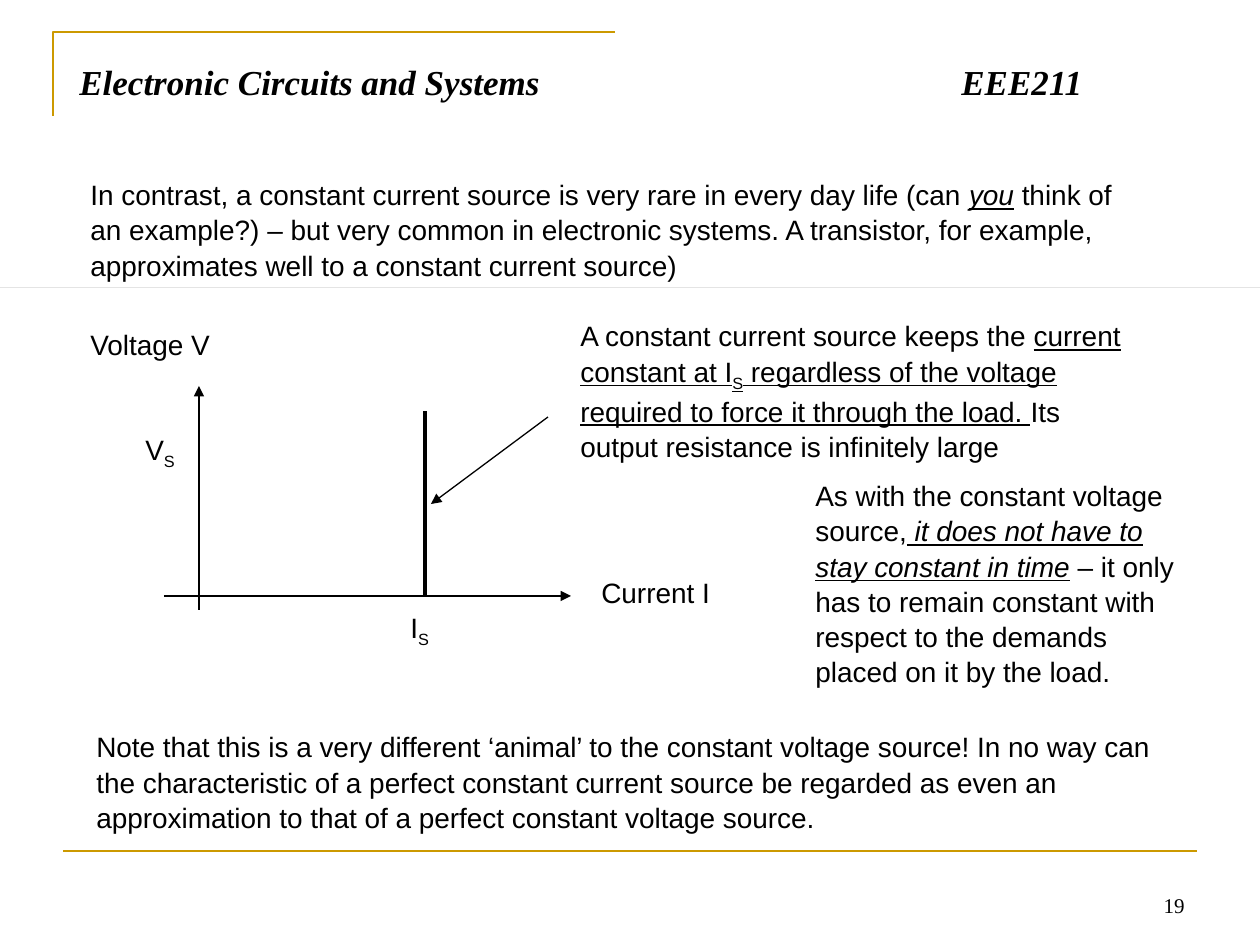
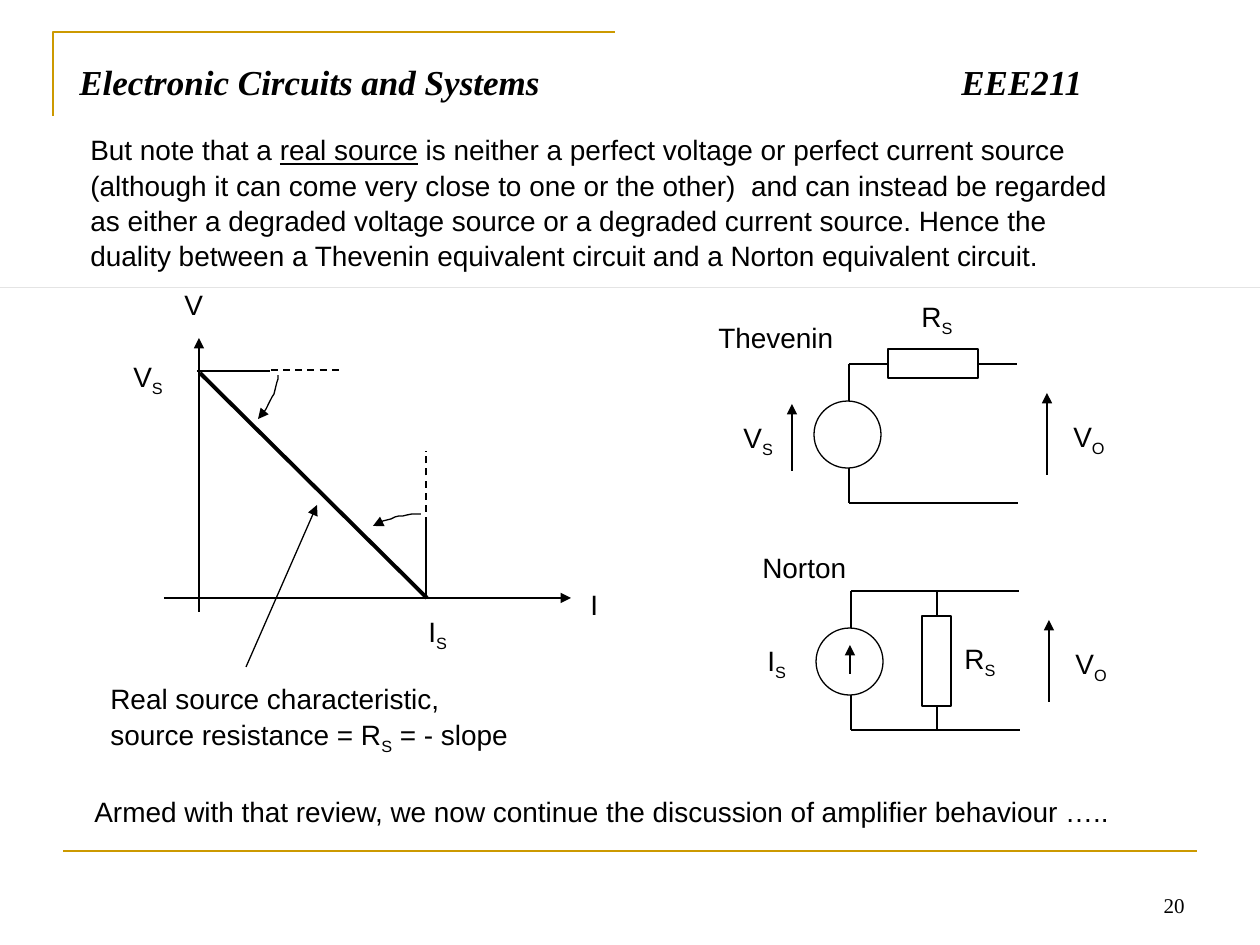
"""Build two lecture slides on constant current sources and real sources."""
from lxml import etree
from pptx import Presentation
from pptx.dml.color import RGBColor
from pptx.enum.dml import MSO_LINE
from pptx.enum.shapes import MSO_CONNECTOR, MSO_SHAPE
from pptx.enum.text import MSO_ANCHOR, PP_ALIGN
from pptx.oxml.ns import qn
from pptx.util import Pt

PX = 914400 / 126
COLORS = {"gold": "CC9900", "ink": "000000", "paper": "FFFFFF", "hairline": "E4E4E4"}
RGB = {name: RGBColor.from_string(value) for name, value in COLORS.items()}


def add_text(s, box, runs, font="Arial", size=16):
    """Add a text box; run styles are b, i, u and s for subscript."""
    sp = s.shapes.add_textbox(*[round(v * PX) for v in box])
    tf = sp.text_frame
    tf.word_wrap = True
    p = tf.paragraphs[0]
    p.line_spacing = 1.05
    for content, style in runs:
        r = p.add_run()
        r.text = content
        r.font.name = font
        r.font.size = Pt(size)
        r.font.color.rgb = RGB["ink"]
        r.font.bold = "b" in style
        r.font.italic = "i" in style
        r.font.underline = "u" in style
        if "s" in style:
            r.font._element.set("baseline", "-25000")
    return tf


def add_line(s, ends, weight=0.75, color="ink", arrow=False, dash=False):
    """Add a straight line, with an arrowhead at its end if asked."""
    cn = s.shapes.add_connector(MSO_CONNECTOR.STRAIGHT, *[round(v * PX) for v in ends])
    cn.line.width = Pt(weight)
    cn.line.color.rgb = RGB[color]
    if dash:
        cn.line.dash_style = MSO_LINE.DASH
    if arrow:
        etree.SubElement(cn.line._get_or_add_ln(), qn("a:tailEnd"), type="triangle")
    etree.SubElement(cn._element.spPr, qn("a:effectLst"))


prs = Presentation()
prs.slide_width = round(1260 * PX)
prs.slide_height = round(945 * PX)
slides = []

for number in ("19", "20"):
    s = prs.slides.add_slide(prs.slide_layouts[6])
    slides.append(s)
    fb = s.shapes.build_freeform(53, 116, scale=PX)
    fb.add_line_segments([(53, 32), (615, 32)], close=False)
    corner = fb.convert_to_shape()
    corner.shadow.inherit = False
    corner.fill.background()
    corner.line.color.rgb = RGB["gold"]
    corner.line.width = Pt(1.5)
    add_line(s, (63, 851, 1197, 851), 1.5, "gold")
    add_line(s, (0, 287, 1260, 287), 0.25, "hairline")

    tf = add_text(s, (903, 861, 294, 63), [(number, "")], "Times New Roman", 12)
    tf.vertical_anchor = MSO_ANCHOR.BOTTOM
    tf.paragraphs[0].alignment = PP_ALIGN.RIGHT

    title = [("Electronic Circuits and Systems\tEEE211", "bi")]
    tf = add_text(s, (67, 52, 1124, 77), title, "Times New Roman", 20)
    tabs = etree.SubElement(tf.paragraphs[0]._p.get_or_add_pPr(), qn("a:tabLst"))
    etree.SubElement(tabs, qn("a:tab"), pos=str(round(882 * PX)), algn="l")

current_slide, real_slide = slides

for box, runs in [
    ((78, 170, 1067, 113), [
        ("In contrast, a constant current source is very rare in every day life (can ", ""),
        ("you", "iu"),
        (" think of an example?) – but very common in electronic systems. A transistor, "
         "for example, approximates well to a constant current source)", "")]),
    ((568, 311, 582, 147), [
        ("A constant current source keeps the ", ""),
        ("current constant at I", "u"),
        ("S", "us"),
        (" regardless of the voltage required to force it through the load. ", "u"),
        ("Its output resistance is infinitely large", "")]),
    ((803, 471, 399, 214), [
        ("As with the constant voltage source,", ""),
        (" ", "u"),
        ("it does not have to stay constant in time", "iu"),
        (" – it only has to remain constant with respect to the demands placed on it "
         "by the load.", "")]),
    ((84, 722, 1120, 113), [
        ("Note that this is a very different ‘animal’ to the constant voltage source! "
         "In no way can the characteristic of a perfect constant current source be "
         "regarded as even an approximation to that of a perfect constant voltage "
         "source.", "")]),
    ((78, 320, 173, 47), [("Voltage V", "")]),
    ((589, 568, 149, 47), [("Current I", "")]),
    ((133, 424, 60, 47), [("V", ""), ("S", "s")]),
    ((398, 602, 56, 47), [("I", ""), ("S", "s")]),
]:
    add_text(current_slide, box, runs)

add_line(current_slide, (199, 610, 199, 386), 1.5, arrow=True)
add_line(current_slide, (164, 596, 571, 596), 1.5, arrow=True)
add_line(current_slide, (425, 595, 425, 411), 2.25)
add_line(current_slide, (548, 417, 431, 504), arrow=True)

for box, runs in [
    ((78, 125, 1067, 147), [
        ("But note that a ", ""),
        ("real source", "u"),
        (" is neither a perfect voltage or perfect current source (although it can come "
         "very close to one or the other)  and can instead be regarded as either a "
         "degraded voltage source or a degraded current source. Hence the duality "
         "between a Thevenin equivalent circuit and a Norton equivalent circuit.", "")]),
    ((98, 674, 438, 81), [
        ("Real source characteristic, source resistance = R", ""),
        ("S", "s"),
        (" = - slope", "")]),
    ((82, 787, 1126, 47), [
        ("Armed with that review, we now continue the discussion of amplifier "
         "behaviour …..", "")]),
    ((578, 580, 56, 47), [("I", "")]),
    ((172, 280, 57, 47), [("V", "")]),
    ((121, 351, 60, 47), [("V", ""), ("S", "s")]),
    ((416, 606, 56, 47), [("I", ""), ("S", "s")]),
    ((706, 313, 161, 47), [("Thevenin", "")]),
    ((909, 291, 79, 47), [("R", ""), ("S", "s")]),
    ((731, 412, 68, 47), [("V", ""), ("S", "s")]),
    ((750, 543, 237, 47), [("Norton", "")]),
    ((952, 633, 79, 47), [("R", ""), ("S", "s")]),
    ((755, 635, 68, 47), [("I", ""), ("S", "s")]),
]:
    add_text(real_slide, box, runs)

add_line(real_slide, (199, 612, 199, 338), 1.5, arrow=True)
add_line(real_slide, (164, 598, 571, 598), 1.5, arrow=True)
add_line(real_slide, (426, 597, 426, 524), 1)
add_line(real_slide, (426, 524, 426, 451), 1, dash=True)
add_line(real_slide, (197, 371, 270, 371), 1)
add_line(real_slide, (271, 370, 343, 370), 1, dash=True)
add_line(real_slide, (427, 598, 200, 373), 2.25)
add_line(real_slide, (246, 667, 317, 505), arrow=True)

for curve in [
    ((421, 514), (402, 514), (386, 519), (373, 526)),
    ((278, 375), (277, 389), (270, 406), (258, 419)),
]:
    points = []
    for step in range(13):
        t = step / 12
        weights = ((1 - t) ** 3, 3 * t * (1 - t) ** 2, 3 * t * t * (1 - t), t ** 3)
        points.append([sum(w * c[axis] for w, c in zip(weights, curve)) for axis in (0, 1)])
    fb = real_slide.shapes.build_freeform(*points[0], scale=PX)
    fb.add_line_segments(points[1:], close=False)
    arc = fb.convert_to_shape()
    arc.shadow.inherit = False
    arc.fill.background()
    arc.line.color.rgb = RGB["ink"]
    arc.line.width = Pt(0.75)
    etree.SubElement(arc.line._get_or_add_ln(), qn("a:tailEnd"), type="triangle")

for dx, dy in ((0, 0), (2, 227)):
    for x1, y1, x2, y2, arrow in [
        (849, 503, 849, 364, False),
        (849, 364, 1017, 364, False),
        (849, 503, 1018, 503, False),
        (1047, 475, 1047, 393, True),
    ]:
        add_line(real_slide, (x1 + dx, y1 + dy, x2 + dx, y2 + dy), arrow=arrow)
    add_text(real_slide, (1061 + dx, 411 + dy, 88, 47), [("V", ""), ("O", "s")])

add_line(real_slide, (792, 471, 792, 404), arrow=True)
add_line(real_slide, (937, 591, 937, 731))

for kind, box in [
    (MSO_SHAPE.OVAL, (814, 401, 67, 67)),
    (MSO_SHAPE.OVAL, (816, 628, 67, 67)),
    (MSO_SHAPE.RECTANGLE, (888, 349, 90, 29)),
    (MSO_SHAPE.RECTANGLE, (922, 616, 29, 90)),
]:
    sp = real_slide.shapes.add_shape(kind, *[round(v * PX) for v in box])
    sp.shadow.inherit = False
    sp.fill.solid()
    sp.fill.fore_color.rgb = RGB["paper"]
    sp.line.color.rgb = RGB["ink"]
    sp.line.width = Pt(0.75)

add_line(real_slide, (850, 674, 850, 645), arrow=True)

prs.save("out.pptx")
